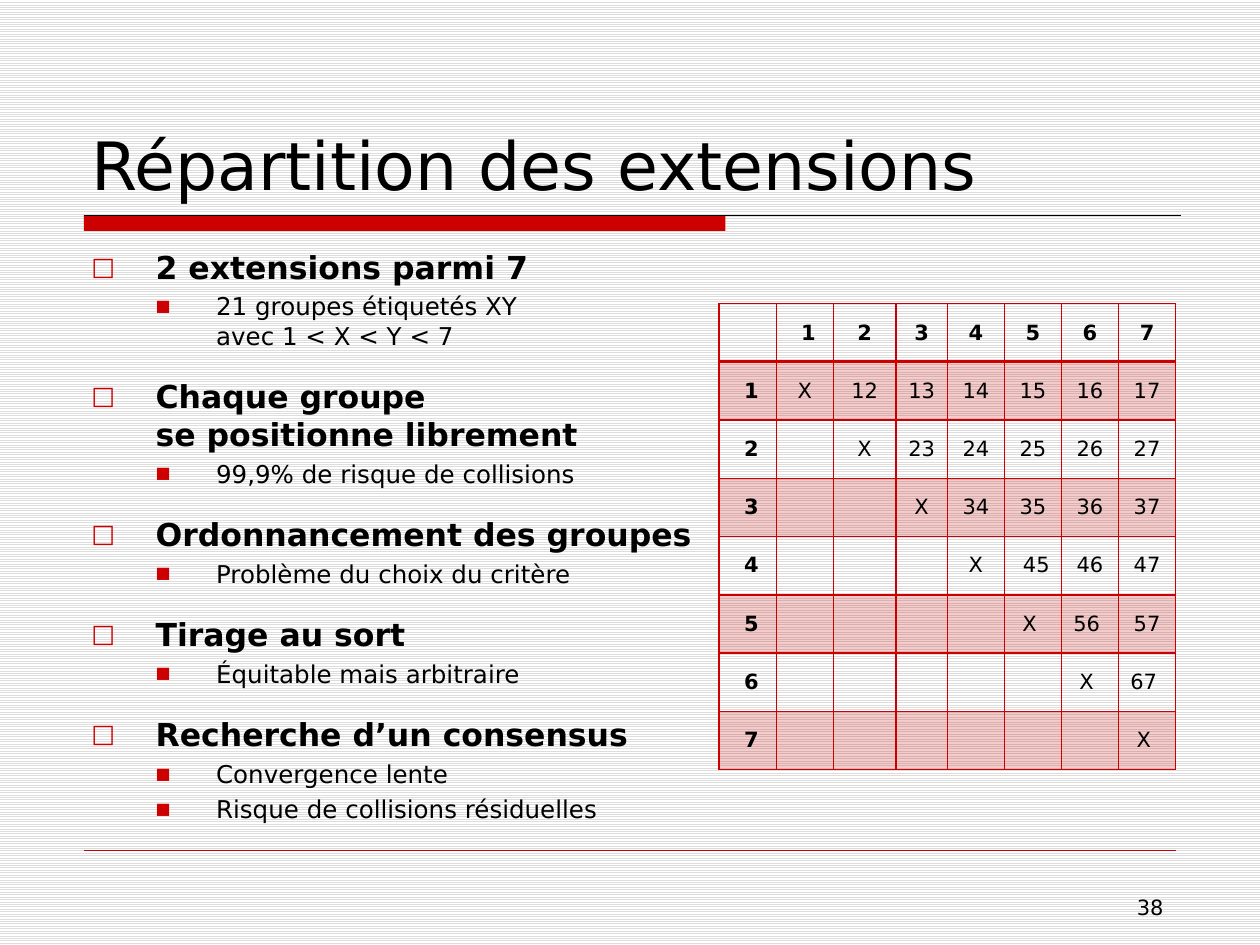
"""Builds the slide on how extensions are shared out among groups."""
from lxml.etree import SubElement as Sub
from pptx import Presentation
from pptx.dml.color import RGBColor as RGB
from pptx.enum.dml import MSO_PATTERN as Pattern
from pptx.enum.shapes import MSO_CONNECTOR as Line, MSO_SHAPE as Shape
from pptx.enum.text import MSO_ANCHOR as Anchor, MSO_AUTO_SIZE as Auto, PP_ALIGN as Align
from pptx.oxml.ns import qn
from pptx.util import Pt

FONT = "DejaVu Sans"
HEX = {"red": "CC0000", "black": "000000", "stripe": "DDDDDD", "white": "FFFFFF"}
TITLE = "Répartition des extensions"
POINTS = [
    ("2 extensions parmi 7", ["21 groupes étiquetés XY\vavec 1 < X < Y < 7"]),
    ("Chaque groupe\vse positionne librement", ["99,9% de risque de collisions"]),
    ("Ordonnancement des groupes", ["Problème du choix du critère"]),
    ("Tirage au sort", ["Équitable mais arbitraire"]),
    ("Recherche d’un consensus", ["Convergence lente", "Risque de collisions résiduelles"]),
]
LEVELS = [
    {"size": 18, "bold": True, "left": 36.7, "hang": 36.7, "mark": "□", "pct": 80, "gap": 15.6},
    {"size": 14, "bold": False, "left": 71.3, "hang": 34.6, "mark": "■", "pct": 65, "gap": 3.2},
]
COUNT = 7
WIDTHS = [32.6, 32.6, 35.8, 29.4, 32.6, 32.6, 32.6, 32.6]
ROW = 33.3
NUDGED = {(0, 1): "\u00a01", (4, 5): "\u00a045", (5, 5): "X\u00a0", (5, 6): "56\u00a0",
          (6, 6): "X\u00a0", (6, 7): "67\u00a0", (7, 7): "X\u00a0"}


def color(name):
    return RGB.from_string(HEX[name])


def style(para, size, bold=False):
    for run in para.runs:
        font = run.font
        font.name, font.size, font.bold = FONT, Pt(size), bold
        font.color.rgb = color("black")


def place(shape, left, top, width, height):
    shape.left, shape.top, shape.width, shape.height = map(Pt, (left, top, width, height))


def rule(left, right, y, name, width):
    line = slide.shapes.add_connector(Line.STRAIGHT, Pt(left), Pt(y), Pt(right), Pt(y))
    line.line.color.rgb, line.line.width = color(name), Pt(width)
    Sub(line._element.spPr, qn("a:effectLst"))


def bullet(para, level):
    props = para._p.get_or_add_pPr()
    props.set("marL", str(Pt(level["left"])))
    props.set("indent", str(-Pt(level["hang"])))
    tint = Sub(props, qn("a:buClr"))
    Sub(tint, qn("a:srgbClr"), val=HEX["red"])
    Sub(props, qn("a:buSzPct"), val=str(level["pct"] * 1000))
    Sub(props, qn("a:buFont"), typeface=FONT)
    Sub(props, qn("a:buChar"), char=level["mark"])


def border(cell, side, width):
    line = Sub(cell._tc.get_or_add_tcPr(), qn("a:ln" + side), w=str(Pt(width)))
    fill = Sub(line, qn("a:solidFill"))
    Sub(fill, qn("a:srgbClr"), val=HEX["red"])


def label(row, col):
    if (row, col) in NUDGED:
        return NUDGED[row, col]
    if row == 0:
        return str(col) if col else ""
    if col == 0:
        return f"\u00a0{row}"
    if row == col:
        return "X"
    return f"{row}{col}" if row < col else ""


deck = Presentation()
deck.slide_width, deck.slide_height = Pt(720), Pt(540)
slide = deck.slides.add_slide(deck.slide_layouts[1])
back = slide.background.fill
back.patterned()
back.pattern = Pattern.LIGHT_HORIZONTAL
back.fore_color.rgb, back.back_color.rgb = color("stripe"), color("white")

bar = slide.shapes.add_shape(Shape.RECTANGLE, Pt(48), Pt(123), Pt(366.5), Pt(9))
bar.shadow.inherit = False
bar.fill.solid()
bar.fill.fore_color.rgb = color("red")
bar.line.fill.background()
rule(48, 675, 123, "black", 0.75)
rule(48, 672, 486, "red", 0.25)

title, body = slide.placeholders
place(title, 45, 24, 630, 96)
title.text_frame.text = TITLE
title.text_frame.auto_size = Auto.NONE
title.text_frame.vertical_anchor = Anchor.BOTTOM
head = title.text_frame.paragraphs[0]
head.alignment = Align.LEFT
style(head, 38)

place(body, 45, 138, 630, 336)
frame = body.text_frame
frame.auto_size = Auto.NONE
items = [(depth, text) for main, subs in POINTS
         for depth, text in [(0, main)] + [(1, sub) for sub in subs]]
for i, (depth, text) in enumerate(items):
    para = frame.add_paragraph() if i else frame.paragraphs[0]
    level = LEVELS[depth]
    para.text, para.level = text, depth
    para.space_before = Pt(level["gap"] if i else 1)
    bullet(para, level)
    style(para, level["size"], level["bold"])

box = slide.shapes.add_textbox(Pt(516), Pt(492), Pt(156), Pt(37))
box.text_frame.word_wrap = True
box.text_frame.vertical_anchor = Anchor.BOTTOM
box.text_frame.text = "38"
page = box.text_frame.paragraphs[0]
page.alignment = Align.RIGHT
style(page, 12)

size = COUNT + 1
grid = slide.shapes.add_table(size, size, Pt(411), Pt(173.5), Pt(sum(WIDTHS)), Pt(ROW * size)).table
grid.first_row = grid.horz_banding = False
for col, width in zip(grid.columns, WIDTHS):
    col.width = Pt(width)
for r, row in enumerate(grid.rows):
    row.height = Pt(ROW)
    for c, cell in enumerate(row.cells):
        cell.margin_left = cell.margin_right = Pt(5)
        cell.margin_top = cell.margin_bottom = 0
        cell.vertical_anchor = Anchor.MIDDLE
        for side in "LRTB":
            border(cell, side, 2 if (r, side) in ((0, "B"), (1, "T")) else 1)
        if r % 2:
            cell.fill.solid()
            cell.fill.fore_color.rgb = color("red")
            tint = cell._tc.tcPr.find(qn("a:solidFill"))
            Sub(tint[0], qn("a:alpha"), val="20000")
        else:
            cell.fill.background()
        cell.text_frame.text = label(r, c)
        para = cell.text_frame.paragraphs[0]
        para.alignment = Align.CENTER
        style(para, 12, r == 0 or c == 0)

deck.save("out.pptx")
